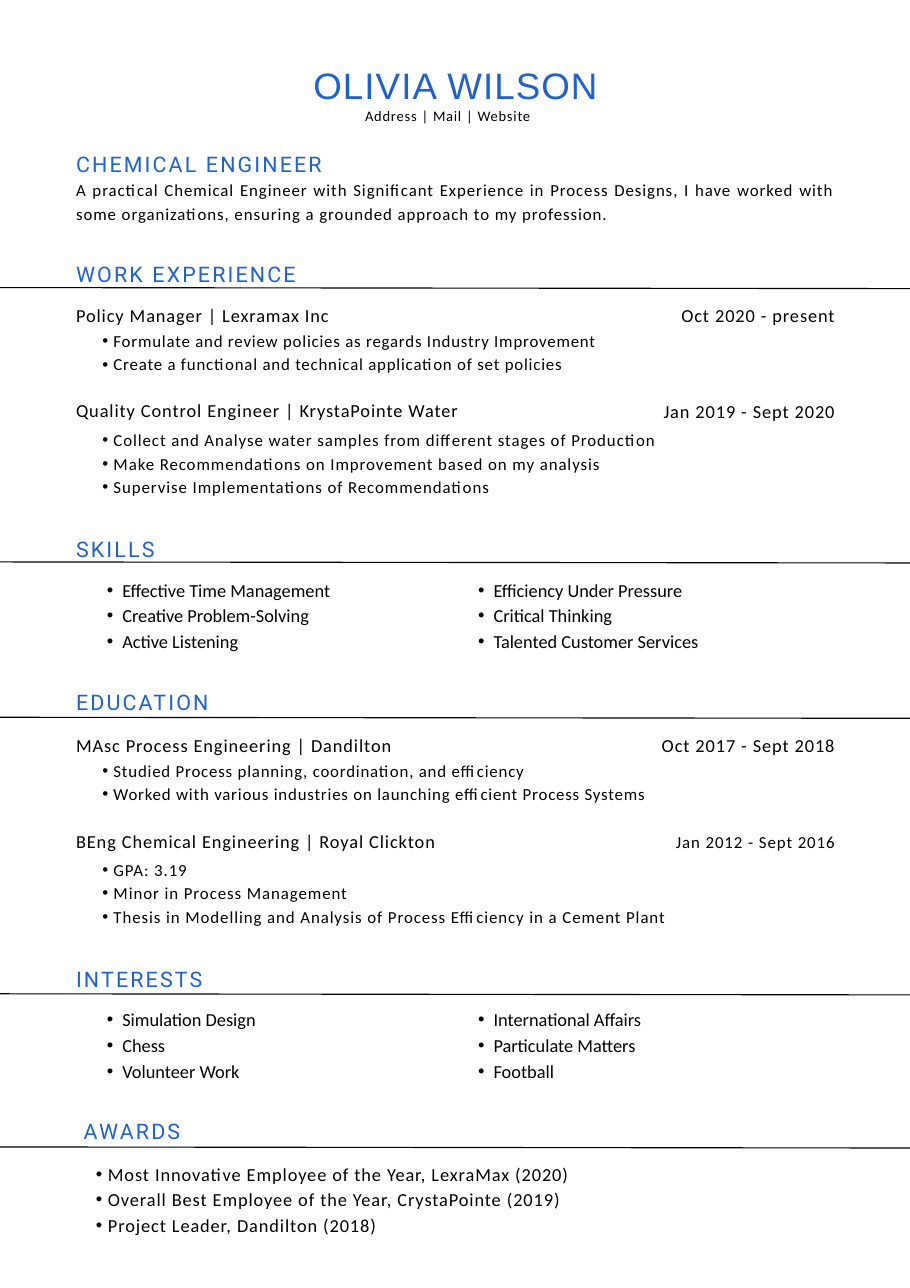
from pptx import Presentation
from pptx.dml.color import RGBColor
from pptx.enum.shapes import MSO_CONNECTOR
from pptx.enum.text import MSO_AUTO_SIZE, PP_ALIGN
from pptx.util import Inches, Pt
from lxml import etree
from pptx.oxml.ns import qn

BLUE = RGBColor(0x1E, 0x62, 0xCB)
BLACK = RGBColor(0, 0, 0)
MARGIN = 0.69
BULLET_LEFT = 0.83
FULL_WIDTH = 6.89

deck = Presentation()
deck.slide_width = Inches(8.26)
deck.slide_height = Inches(11.69)
page = deck.slides.add_slide(deck.slide_layouts[6])


def add_text(place, lines, size, pitch, spacing=0.6, font="Calibri",
             color=BLACK, align=PP_ALIGN.LEFT, hang=0):
    """Add a text box; pitch is the line height in points, hang the bullet's indent in inches."""
    box = page.shapes.add_textbox(*[Inches(length) for length in place])
    frame = box.text_frame
    frame.margin_left = frame.margin_top = frame.margin_right = frame.margin_bottom = 0
    frame.word_wrap = True
    frame.auto_size = MSO_AUTO_SIZE.SHAPE_TO_FIT_TEXT
    frame.text = "\n".join(lines)
    for para in frame.paragraphs:
        para.alignment = align
        para.line_spacing = Pt(pitch)
        if hang:
            para.level = 1
            props = para._p.get_or_add_pPr()
            props.set("marL", str(Inches(2 * hang)))
            props.set("indent", str(-Inches(hang)))
            etree.SubElement(props, qn("a:buFont")).set("typeface", "Arial")
            etree.SubElement(props, qn("a:buChar")).set("char", "•")
        for span in para.runs:
            span.font.size = Pt(size)
            span.font.name = font
            span.font.color.rgb = color
            span._r.get_or_add_rPr().set("spc", str(round(spacing * 100)))


# Header and profile
add_text((MARGIN, 0.94, 6.75, 0.18), ["Address | Mail | Website"], 9.5, 13.3,
         spacing=0.5, align=PP_ALIGN.CENTER)
add_text((MARGIN, 0.57, FULL_WIDTH, 0.41), ["OLIVIA WILSON"], 24, 28.8,
         spacing=0.7, font="Arial", color=BLUE, align=PP_ALIGN.CENTER)
add_text((MARGIN, 1.6, FULL_WIDTH, 0.4),
         ["A practical Chemical Engineer with Significant Experience in Process Designs, "
          "I have worked with some organizations, ensuring a grounded approach to my profession."],
         11, 15.6, align=PP_ALIGN.JUSTIFY)

# Section headings
headings = [
    ("CHEMICAL ENGINEER", MARGIN, 1.33),
    ("WORK EXPERIENCE", MARGIN, 2.33),
    ("SKILLS", MARGIN, 4.82),
    ("EDUCATION", MARGIN, 6.21),
    ("INTERESTS", MARGIN, 8.73),
    ("AWARDS", 0.76, 10.11),
]
for title, left, top in headings:
    add_text((left, top, FULL_WIDTH, 0.26), [title], 14, 19.9,
             spacing=1.4, font="Roboto", color=BLUE)

# Rules under the headings
for left, top in [(-0.16, 2.61), (-0.1, 5.1), (-0.2, 6.51), (-0.23, 9.02), (-0.2, 10.41)]:
    rule = page.shapes.add_connector(MSO_CONNECTOR.STRAIGHT, Inches(left), Inches(top),
                                     Inches(left + 8.59), Inches(top + 0.01))
    rule.line.color.rgb = BLACK
    rule.line.width = Pt(0.75)
    etree.SubElement(rule._element.spPr, qn("a:effectLst"))

# Jobs and degrees: title, top, dates, dates' top, size and pitch, duties' top, spacing, duties
entries = [
    ("Policy Manager | Lexramax Inc", 2.73, "Oct 2020 - present", 2.73, 12, 16.8, 2.97, 0.5,
     ["Formulate and review policies as regards Industry Improvement",
      "Create a functional and technical application of set policies"]),
    ("Quality Control Engineer | KrystaPointe Water", 3.59,
     "Jan 2019 - Sept 2020", 3.6, 12, 16.8, 3.87, 0.6,
     ["Collect and Analyse water samples from different stages of Production",
      "Make Recommendations on Improvement based on my analysis",
      "Supervise Implementations of Recommendations"]),
    ("MAsc Process Engineering | Dandilton", 6.63,
     "Oct 2017 - Sept 2018", 6.63, 12, 16.8, 6.87, 0.5,
     ["Studied Process planning, coordination, and efficiency",
      "Worked with various industries on launching efficient Process Systems"]),
    ("BEng Chemical Engineering | Royal Clickton", 7.5,
     "Jan 2012 - Sept 2016", 7.52, 11, 15.4, 7.77, 0.6,
     ["GPA: 3.19",
      "Minor in Process Management",
      "Thesis in Modelling and Analysis of Process Efficiency in a Cement Plant"]),
]
for title, top, dates, dates_top, size, pitch, duties_top, spacing, duties in entries:
    add_text((MARGIN, top, 4.49, 0.22), [title], 12, 16.8)
    add_text((5.18, dates_top, 2.4, pitch / 76), [dates], size, pitch, align=PP_ALIGN.RIGHT)
    add_text((BULLET_LEFT, duties_top, 6.75, 0.21 * len(duties)), duties, 11, 15.4,
             spacing=spacing, hang=0.1)

# Two-column lists of skills and interests
columns = [
    (BULLET_LEFT, 5.22, 3.38,
     ["Effective Time Management", "Creative Problem-Solving", "Active Listening"]),
    (4.2, 5.22, 3.24,
     ["Efficiency Under Pressure", "Critical Thinking", "Talented Customer Services"]),
    (BULLET_LEFT, 9.12, 3.38, ["Simulation Design", "Chess", "Volunteer Work"]),
    (4.2, 9.12, 3.24, ["International Affairs", "Particulate Matters", "Football"]),
]
for left, top, width, items in columns:
    add_text((left, top, width, 0.67), items, 12, 16.8, spacing=0, hang=0.14)

# Awards
add_text((0.76, 10.52, FULL_WIDTH, 0.67),
         ["Most Innovative Employee of the Year, LexraMax (2020)",
          "Overall Best Employee of the Year, CrystaPointe (2019)",
          "Project Leader, Dandilton (2018)"],
         12, 16.8, hang=0.11)

deck.save("out.pptx")
